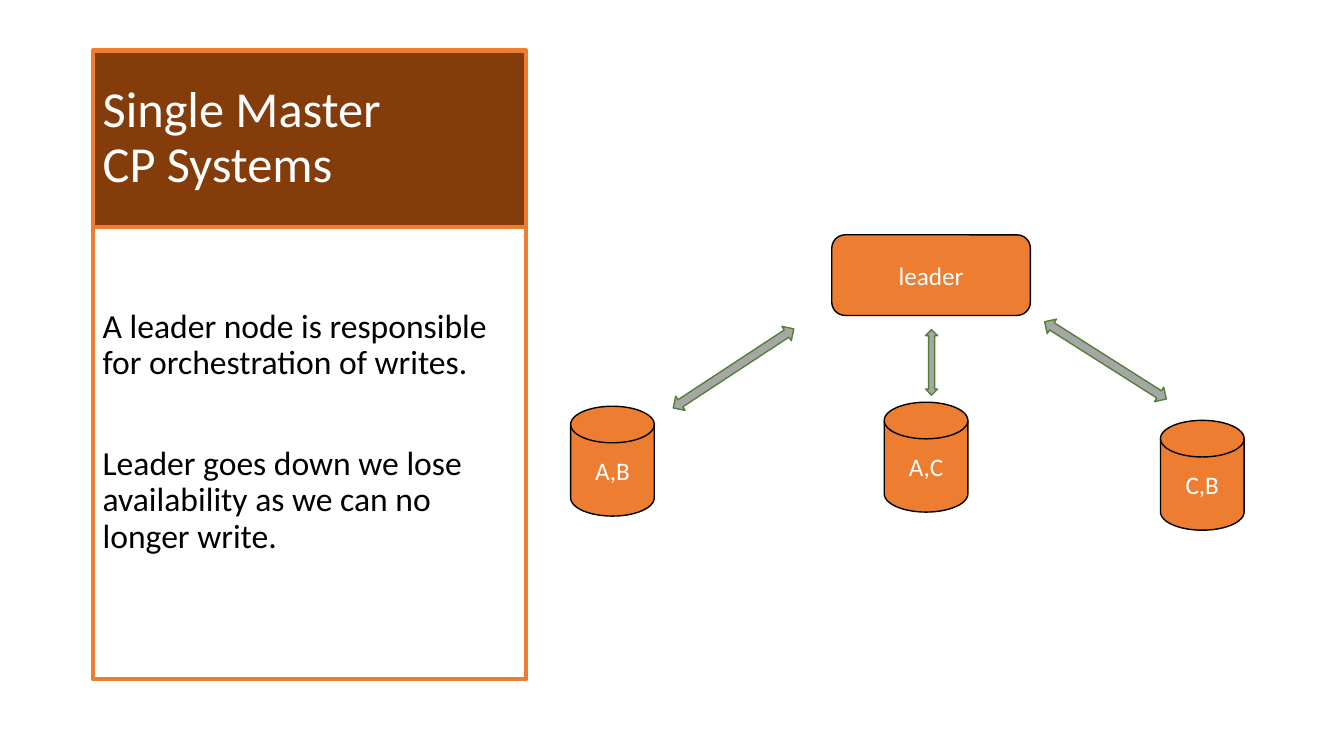
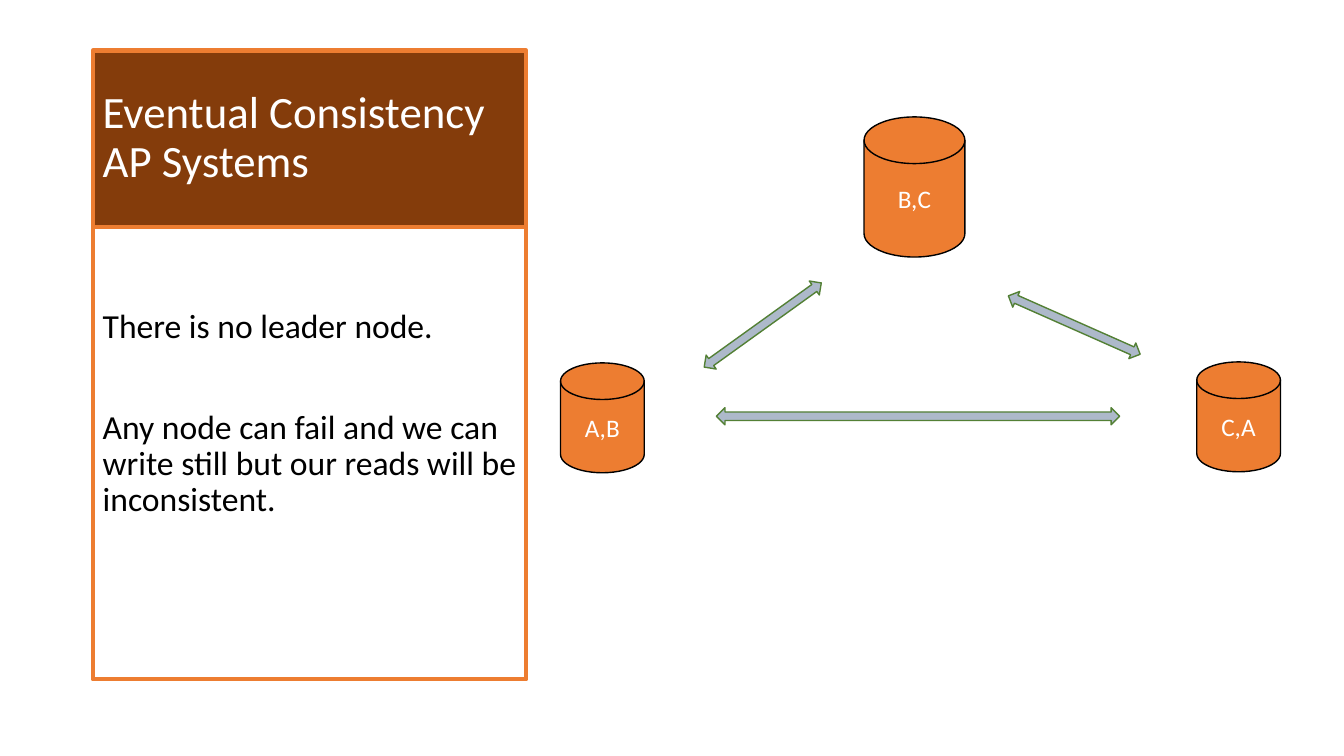
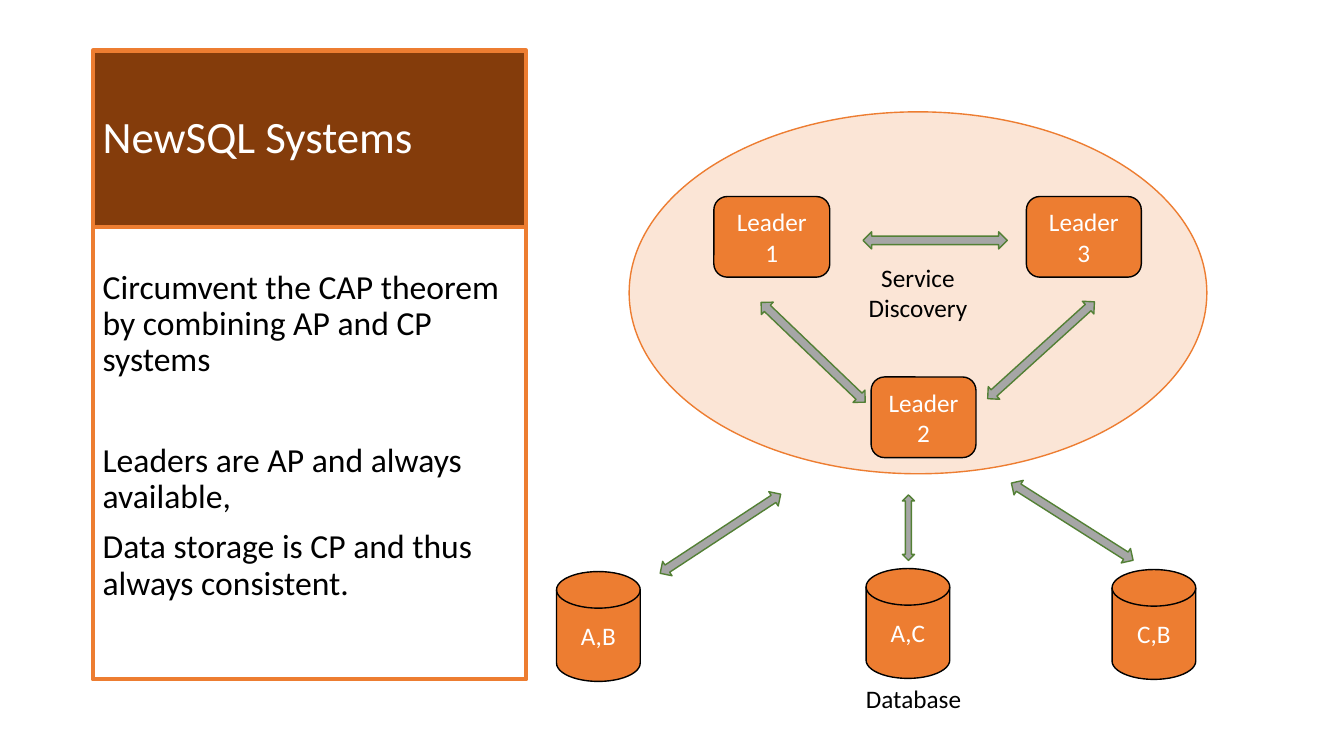
from dataclasses import dataclass

import pptx
import pptx.dml.color
import pptx.enum.shapes
import pptx.enum.text
import pptx.util

PX = 9144
SHAPE = pptx.enum.shapes.MSO_SHAPE
ALIGN = pptx.enum.text.PP_ALIGN
ANCHOR = pptx.enum.text.MSO_ANCHOR


@dataclass(frozen=True)
class Theme:
    font: str = "Calibri"
    accent: str = "ED7D31"
    title_fill: str = "843C0B"
    cloud_fill: str = "FBE5D6"
    arrow_line: str = "538035"
    gray: str = "A6A6A6"
    blue_gray: str = "ADB9CA"
    black: str = "000000"
    white: str = "FFFFFF"
    body_size: int = 24
    label_size: int = 18
    thick: int = 3
    thin: int = 1


@dataclass(frozen=True)
class Para:
    text: str
    before: int = 0


@dataclass(frozen=True)
class Node:
    kind: SHAPE
    x: int
    y: int
    w: int
    h: int
    lines: tuple[str, ...]
    fill: str
    line: str
    color: str


@dataclass(frozen=True)
class Arrow:
    x: int
    y: int
    angle: float = 0
    length: int = 143
    width: int = 17


@dataclass(frozen=True)
class Page:
    title: tuple[str, ...]
    title_size: int
    body_inset: int
    body: tuple[Para, ...]
    nodes: tuple[Node, ...]
    arrows: tuple[Arrow, ...]
    arrow_fill: str
    caption: str = ""


T = Theme()
GAP = 46


def disk(x: int, y: int, text: str, w: int = 83, h: int = 109) -> Node:
    return Node(SHAPE.FLOWCHART_MAGNETIC_DISK, x, y, w, h, (text,), T.accent, T.black, T.white)


def leader(x: int, y: int, w: int, text: str) -> Node:
    return Node(SHAPE.ROUNDED_RECTANGLE, x, y, w, 80, (text,), T.accent, T.black, T.white)


PAGES = (
    Page(
        ("Single Master", "CP Systems"), 36, 82,
        (Para("A leader node is responsible for orchestration of writes."),
         Para("Leader goes down we lose availability as we can no longer write.", GAP)),
        (disk(566, 403, "A,B"), disk(877, 399, "A,C"), disk(1151, 417, "C,B"),
         leader(825, 233, 197, "leader")),
        (Arrow(719, 294, 56.7), Arrow(1088, 286, 302.4), Arrow(918, 327, 0, 65, 12)),
        T.gray,
    ),
    Page(
        ("Eventual Consistency", "AP Systems"), 32, 82,
        (Para("There is no leader node."),
         Para("Any node can fail and we can write still but our reads will be inconsistent.", GAP)),
        (disk(556, 360, "A,B"), disk(857, 116, "B,C", 100, 139), disk(1187, 359, "C,A")),
        (Arrow(748, 251, 54.3), Arrow(1057, 251, 293.9), Arrow(902, 213, 90, 400)),
        T.blue_gray,
    ),
    Page(
        ("NewSQL Systems",), 32, 43,
        (Para("Circumvent the CAP theorem by combining AP and CP systems"),
         Para("Leaders are AP and always available,", GAP),
         Para("Data storage is CP and thus always consistent.", 10)),
        (Node(SHAPE.OVAL, 624, 111, 573, 359, ("Service", "Discovery"),
              T.cloud_fill, T.accent, T.black),
         disk(552, 567, "A,B"), disk(859, 564, "A,C"), disk(1103, 565, "C,B"),
         leader(708, 195, 115, "Leader 1"), leader(864, 374, 104, "Leader 2"),
         leader(1018, 195, 114, "Leader 3")),
        (Arrow(706, 458, 56.7), Arrow(1055, 446, 302.4), Arrow(895, 491, 0, 65, 12),
         Arrow(1024, 276, 47.8), Arrow(798, 278, 133.8), Arrow(919, 167, 90)),
        T.gray,
        "Database",
    ),
)


def rgb(value: str) -> pptx.dml.color.RGBColor:
    return pptx.dml.color.RGBColor.from_string(value)


def add_run(p, text: str, size: int, color: str) -> None:
    r = p.add_run()
    r.text = text
    r.font.name = T.font
    r.font.size = pptx.util.Pt(size)
    r.font.color.rgb = rgb(color)


def add_box(s, kind: SHAPE, x: int, y: int, w: int, h: int,
            fill: str | None, line: str, weight: int):
    sp = s.shapes.add_shape(kind, x * PX, y * PX, w * PX, h * PX)
    sp.shadow.inherit = False
    if fill:
        sp.fill.solid()
        sp.fill.fore_color.rgb = rgb(fill)
    else:
        sp.fill.background()
    sp.line.color.rgb = rgb(line)
    sp.line.width = pptx.util.Pt(weight)
    sp.text_frame.word_wrap = True
    return sp


def add_panel(s, page: Page) -> None:
    sp = add_box(s, SHAPE.RECTANGLE, 92, 50, 430, 175, T.title_fill, T.accent, T.thick)
    tf = sp.text_frame
    tf.vertical_anchor = ANCHOR.MIDDLE
    p = tf.paragraphs[0]
    p.alignment = ALIGN.LEFT
    p.line_spacing = 0.9
    for i, text in enumerate(page.title):
        if i:
            p.add_line_break()
        add_run(p, text, page.title_size, T.white)

    sp = add_box(s, SHAPE.RECTANGLE, 92, 225, 430, 449, None, T.accent, T.thick)
    tf = sp.text_frame
    tf.vertical_anchor = ANCHOR.TOP
    tf.margin_top = page.body_inset * PX
    for i, para in enumerate(page.body):
        p = tf.add_paragraph() if i else tf.paragraphs[0]
        p.alignment = ALIGN.LEFT
        p.line_spacing = 0.9
        p.space_before = pptx.util.Pt(para.before)
        add_run(p, para.text, T.body_size, T.black)


def add_node(s, node: Node) -> None:
    sp = add_box(s, node.kind, node.x, node.y, node.w, node.h, node.fill, node.line, T.thin)
    tf = sp.text_frame
    tf.vertical_anchor = ANCHOR.MIDDLE
    for i, text in enumerate(node.lines):
        p = tf.add_paragraph() if i else tf.paragraphs[0]
        p.alignment = ALIGN.CENTER
        add_run(p, text, T.label_size, node.color)


def add_arrow(s, arrow: Arrow, fill: str) -> None:
    sp = add_box(s, SHAPE.UP_DOWN_ARROW, arrow.x, arrow.y, arrow.width, arrow.length,
                 fill, T.arrow_line, T.thin)
    sp.rotation = arrow.angle


def add_caption(s, text: str) -> None:
    sp = s.shapes.add_textbox(849 * PX, 673 * PX, 116 * PX, 40 * PX)
    tf = sp.text_frame
    tf.word_wrap = False
    tf.auto_size = pptx.enum.text.MSO_AUTO_SIZE.SHAPE_TO_FIT_TEXT
    add_run(tf.paragraphs[0], text, T.label_size, T.black)


def main() -> None:
    prs = pptx.Presentation()
    prs.slide_width = pptx.util.Inches(13.33)
    prs.slide_height = pptx.util.Inches(7.5)
    for page in PAGES:
        s = prs.slides.add_slide(prs.slide_layouts[6])
        add_panel(s, page)
        for node in page.nodes:
            add_node(s, node)
        for arrow in page.arrows:
            add_arrow(s, arrow, page.arrow_fill)
        if page.caption:
            add_caption(s, page.caption)
    prs.save("out.pptx")


if __name__ == "__main__":
    main()
